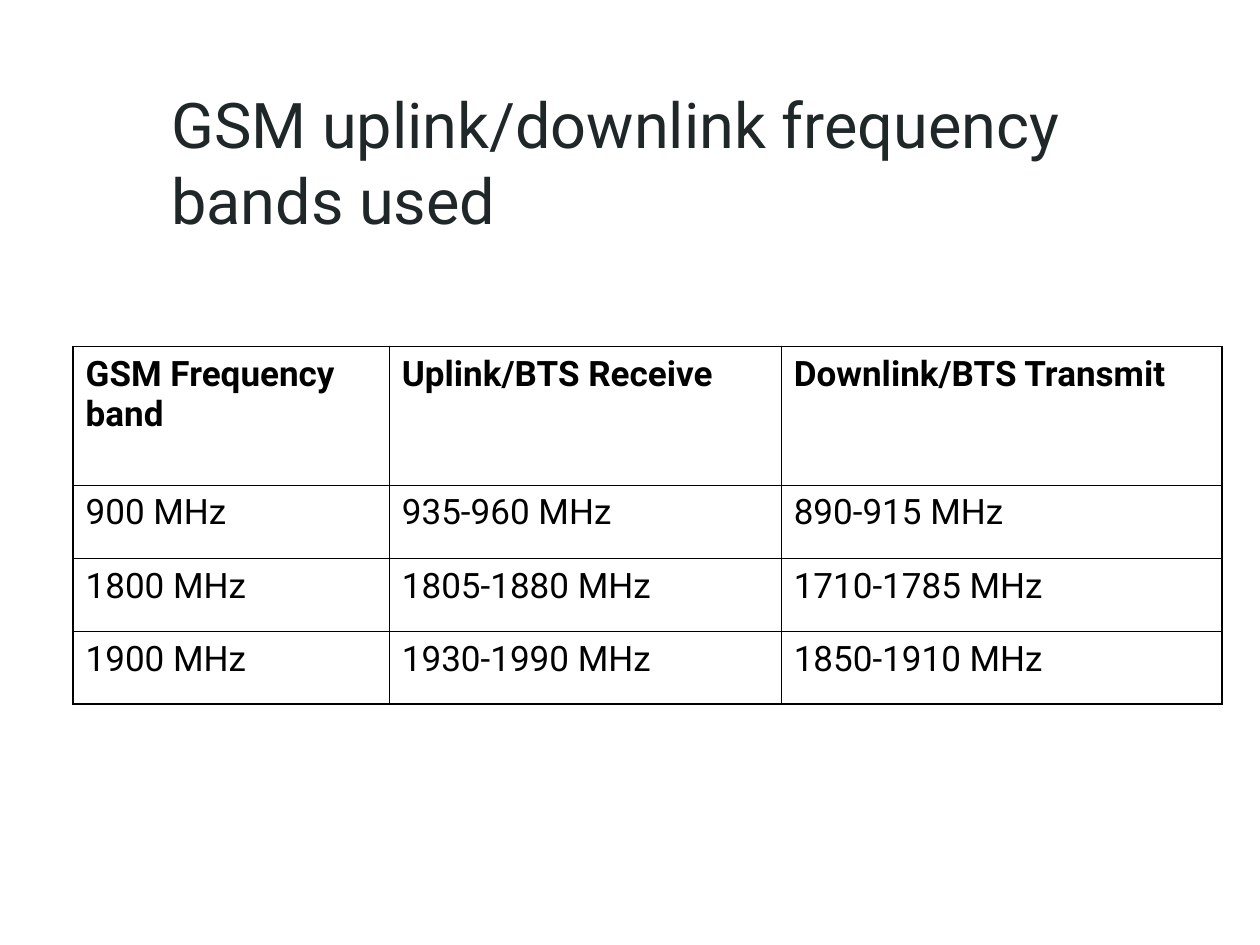
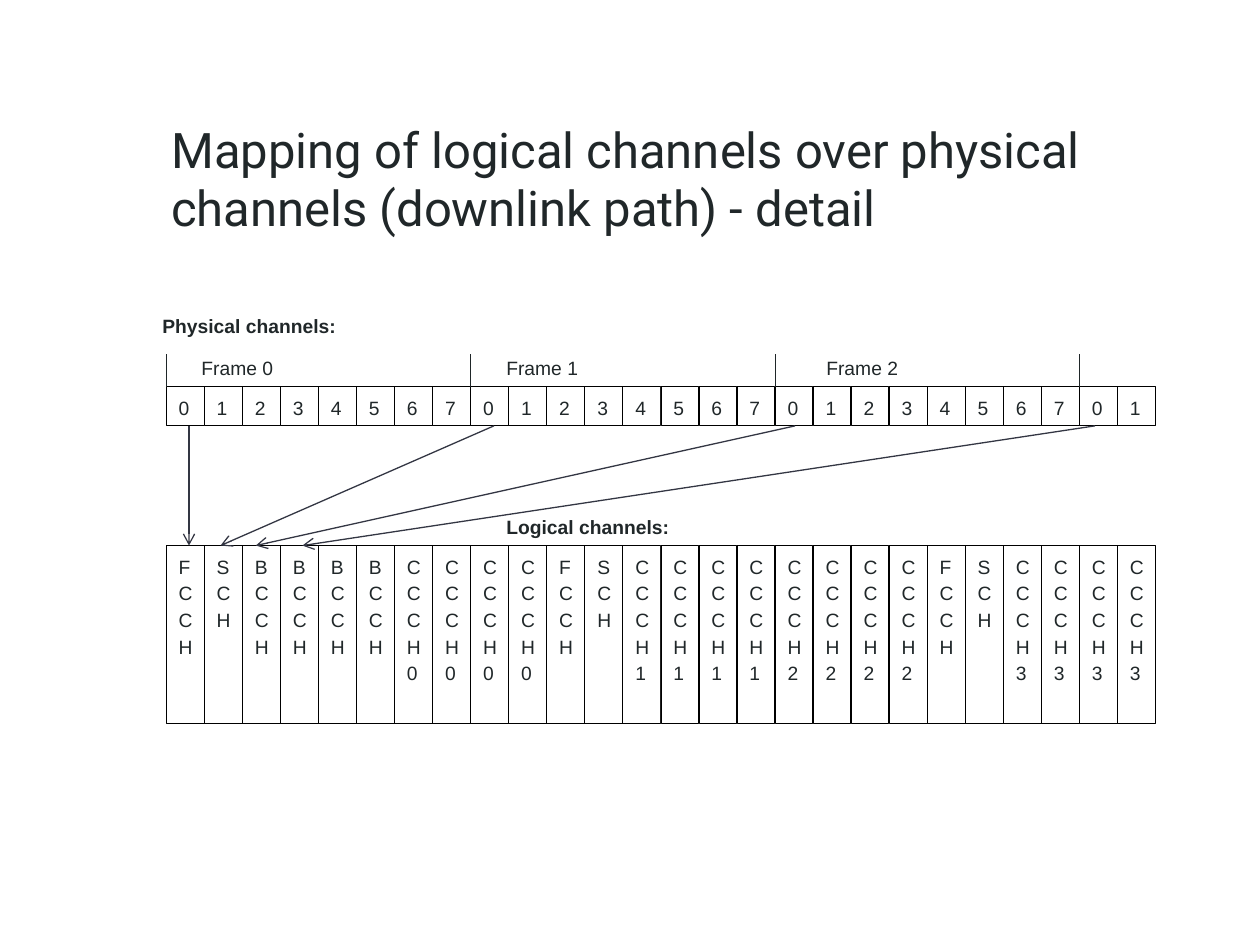
import pptx
import pptx.dml.color
import pptx.enum.shapes
import pptx.enum.text
import pptx.oxml.ns
import pptx.util
from lxml import etree

Inches = pptx.util.Inches
Pt = pptx.util.Pt
RGBColor = pptx.dml.color.RGBColor
qn = pptx.oxml.ns.qn

WHITE = RGBColor(0xFF, 0xFF, 0xFF)
BLACK = RGBColor(0x00, 0x00, 0x00)
INK = RGBColor(0x20, 0x27, 0x29)
DIVIDER = RGBColor(0x1F, 0x26, 0x28)
ARROW = RGBColor(0x33, 0x36, 0x43)

TITLE_FONT = "Roboto"
DIAGRAM_FONT = "Arial"
THIN, THICK = 0.75, 1.08

BANDS = [
    ["GSM Frequency band", "Uplink/BTS Receive", "Downlink/BTS Transmit"],
    ["900 MHz", "935-960 MHz", "890-915 MHz"],
    ["1800 MHz", "1805-1880 MHz", "1710-1785 MHz"],
    ["1900 MHz", "1930-1990 MHz", "1850-1910 MHz"],
]
BAND_WIDTHS = [2.51, 3.11, 3.5]
BAND_HEIGHTS = [1.1, 0.58, 0.58, 0.58]

LOGICAL_CHANNELS = (
    ["FCCH", "SCH"] + ["BCCH"] * 4 + ["CCCH0"] * 4
    + ["FCCH", "SCH"] + ["CCCH1"] * 4 + ["CCCH2"] * 4
    + ["FCCH", "SCH"] + ["CCCH3"] * 4
)
SLOTS_PER_FRAME = 8
SLOT_COUNT = len(LOGICAL_CHANNELS)
SLOT_WIDTH = 0.3
FIRST_SLOT, LAST_SLOT = 1.32, 8.87
SLOT_PITCH = (LAST_SLOT - FIRST_SLOT) / (SLOT_COUNT - 1)
PHYSICAL_TOP, PHYSICAL_HEIGHT = 3.07, 0.31
PHYSICAL_BOTTOM = PHYSICAL_TOP + PHYSICAL_HEIGHT
LOGICAL_TOP, LOGICAL_HEIGHT = 4.33, 1.41
FRAME_LABEL_LEFTS = [1.5, 3.92, 6.46]
MAPPINGS = [(1.5, 1.5), (3.92, 1.75), (6.31, 2.03), (8.69, 2.4)]


def style_font(font, name, size, color, bold=False):
    font.name = name
    font.size = Pt(size)
    font.color.rgb = color
    font.bold = bold


def add_titled_page(deck, title, size):
    page = deck.slides.add_slide(deck.slide_layouts[5])
    page.background.fill.solid()
    page.background.fill.fore_color.rgb = WHITE
    box = page.shapes.title
    box.left, box.top = Inches(1.26), Inches(0.68)
    box.width, box.height = Inches(8.52), Inches(1.25)
    frame = box.text_frame
    frame.text = title
    frame.word_wrap = True
    frame.auto_size = pptx.enum.text.MSO_AUTO_SIZE.NONE
    frame.vertical_anchor = pptx.enum.text.MSO_ANCHOR.BOTTOM
    para = frame.paragraphs[0]
    para.alignment = pptx.enum.text.PP_ALIGN.LEFT
    style_font(para.runs[0].font, TITLE_FONT, size, INK)
    return page


def set_cell_border(cell, side, width):
    properties = cell._tc.get_or_add_tcPr()
    line = etree.SubElement(properties, qn("a:ln" + side), w=str(Pt(width)))
    fill = etree.SubElement(line, qn("a:solidFill"))
    etree.SubElement(fill, qn("a:srgbClr"), val=str(BLACK))


def add_band_table(page):
    row_count, column_count = len(BANDS), len(BANDS[0])
    table = page.shapes.add_table(
        row_count, column_count, Inches(0.58), Inches(2.75),
        Inches(sum(BAND_WIDTHS)), Inches(sum(BAND_HEIGHTS)),
    ).table
    table.first_row = False
    table.horz_banding = False
    for column, width in zip(table.columns, BAND_WIDTHS):
        column.width = Inches(width)
    for row, height in zip(table.rows, BAND_HEIGHTS):
        row.height = Inches(height)
    for row_index, texts in enumerate(BANDS):
        for column_index, text in enumerate(texts):
            cell = table.cell(row_index, column_index)
            cell.text = text
            cell.margin_top = Inches(0.06)
            para = cell.text_frame.paragraphs[0]
            para.line_spacing = 0.98
            style_font(para.runs[0].font, TITLE_FONT, 20, BLACK, row_index == 0)
            outer_sides = {
                "L": column_index == 0,
                "R": column_index == column_count - 1,
                "T": row_index == 0,
                "B": row_index == row_count - 1,
            }
            for side, is_outer in outer_sides.items():
                set_cell_border(cell, side, THICK if is_outer else THIN)
            cell.fill.background()


def write_diagram_text(box, text, bold=False):
    frame = box.text_frame
    frame.text = text
    frame.word_wrap = True
    frame.vertical_anchor = pptx.enum.text.MSO_ANCHOR.TOP
    para = frame.paragraphs[0]
    para.alignment = pptx.enum.text.PP_ALIGN.LEFT
    para.line_spacing = 1.15
    style_font(para.runs[0].font, DIAGRAM_FONT, 11, INK, bold)


def add_label(page, text, left, top, bold=False):
    box = page.shapes.add_textbox(
        Inches(left), Inches(top), Inches(1.63), Inches(0.32))
    write_diagram_text(box, text, bold)


def slot_left(index):
    return FIRST_SLOT + index * SLOT_PITCH


def add_slot_row(page, texts, top, height):
    for index, text in enumerate(texts):
        slot = page.shapes.add_shape(
            pptx.enum.shapes.MSO_SHAPE.RECTANGLE, Inches(slot_left(index)),
            Inches(top), Inches(SLOT_WIDTH), Inches(height))
        slot.shadow.inherit = False
        slot.fill.solid()
        slot.fill.fore_color.rgb = WHITE
        slot.line.color.rgb = BLACK
        slot.line.width = Pt(0.5)
        write_diagram_text(slot, text)


def add_line(page, start, end, color, arrow=False):
    connector = page.shapes.add_connector(
        pptx.enum.shapes.MSO_CONNECTOR.STRAIGHT,
        *(Inches(value) for value in start + end))
    connector.line.color.rgb = color
    connector.line.width = Pt(THIN)
    if arrow:
        line = connector.line._get_or_add_ln()
        etree.SubElement(line, qn("a:tailEnd"), type="arrow")
    etree.SubElement(connector._element.spPr, qn("a:effectLst"))


def add_channel_mapping(page):
    add_label(page, "Physical channels:", 1.19, 2.42, bold=True)
    slot_numbers = [str(index % SLOTS_PER_FRAME) for index in range(SLOT_COUNT)]
    add_slot_row(page, slot_numbers, PHYSICAL_TOP, PHYSICAL_HEIGHT)
    for index in range(0, SLOT_COUNT, SLOTS_PER_FRAME):
        left = slot_left(index)
        add_line(page, (left, PHYSICAL_TOP), (left, 2.81), DIVIDER)
    for number, left in enumerate(FRAME_LABEL_LEFTS):
        add_label(page, f"Frame {number}", left, 2.75)
    add_slot_row(page, LOGICAL_CHANNELS, LOGICAL_TOP, LOGICAL_HEIGHT)
    add_label(page, "Logical channels:", 3.92, 4.01, bold=True)
    for start, end in MAPPINGS:
        add_line(page, (start, PHYSICAL_BOTTOM), (end, LOGICAL_TOP), ARROW, arrow=True)


def main():
    deck = pptx.Presentation()
    deck.slide_width, deck.slide_height = Inches(10), Inches(7.5)
    add_band_table(add_titled_page(
        deck, "GSM uplink/downlink frequency bands used", 36))
    add_channel_mapping(add_titled_page(
        deck,
        "Mapping of logical channels over physical channels (downlink path) - detail",
        28))
    deck.save("out.pptx")


if __name__ == "__main__":
    main()
